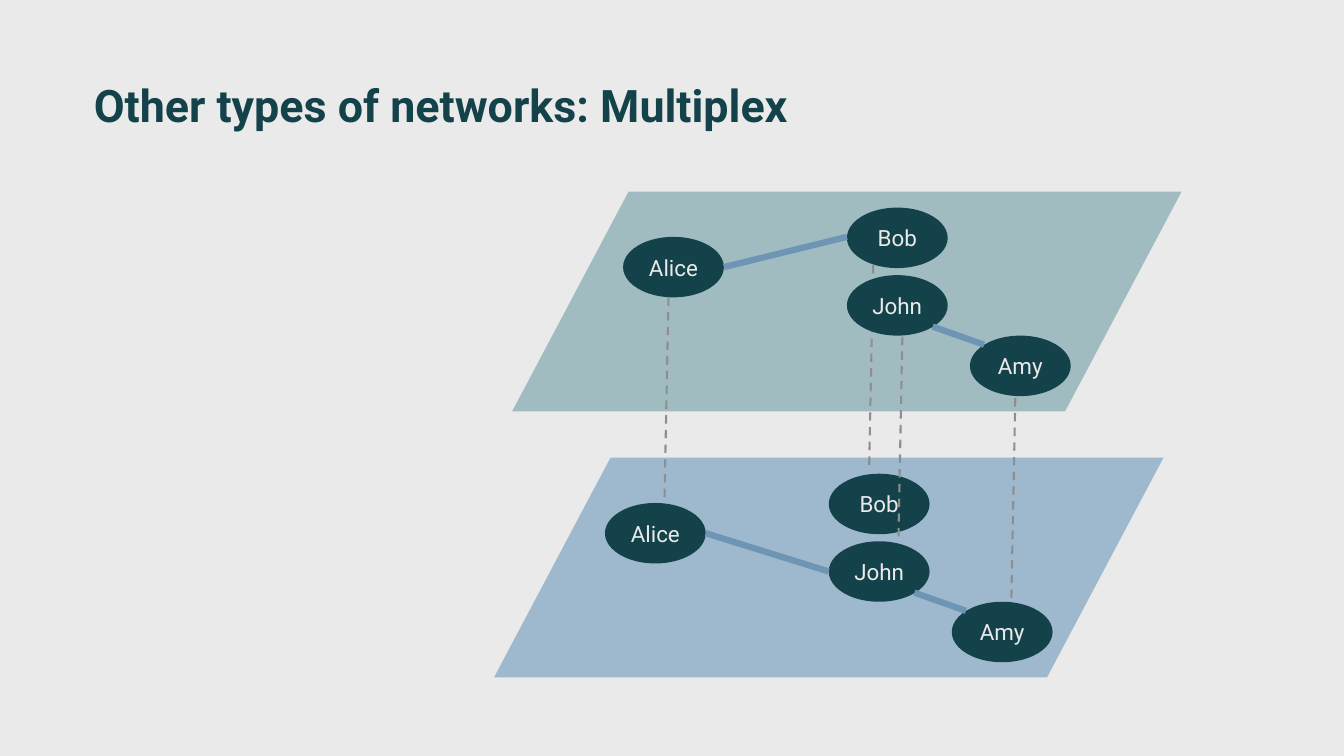
from dataclasses import dataclass

from lxml import etree
from pptx import Presentation
from pptx.dml.color import RGBColor
from pptx.enum import dml, shapes, text
from pptx.oxml import ns
from pptx.shapes.autoshape import Shape
from pptx.slide import Slide
from pptx.text.text import _Paragraph
from pptx.util import Inches, Pt


@dataclass(frozen=True)
class Theme:
    back: str = "EAEAEA"
    dark: str = "14424A"
    upper: str = "A1BCC0"
    lower: str = "9EB9CD"
    edge: str = "6E96B4"
    dash: str = "8E8E8E"
    font: str = "Roboto"
    title: int = 32
    label: int = 16


@dataclass(frozen=True)
class Node:
    name: str
    x: float
    y: float


@dataclass(frozen=True)
class Line:
    x1: float
    y1: float
    x2: float
    y2: float


@dataclass(frozen=True)
class Layer:
    dx: float
    dy: float
    fill: str
    edges: tuple[Line, ...]


THEME = Theme()
NODE_W, NODE_H = 1, 0.6

# Places are given for the upper layer; the lower one is shifted
NODES = (Node("Alice", 6.18, 2.35), Node("Bob", 8.4, 2.06),
         Node("John", 8.4, 2.73), Node("Amy", 9.62, 3.33))
JOHN_AMY = Line(9.25, 3.24, 9.76, 3.42)
UPPER = Layer(0, 0, THEME.upper, (Line(7.18, 2.65, 8.4, 2.35), JOHN_AMY))
LOWER = Layer(-0.18, 2.64, THEME.lower,
              (Line(7.18, 2.65, 8.4, 3.03), JOHN_AMY))

# Start of each dashed tie, and the run they all share
TIES = ((6.63, 2.95), (8.66, 2.63), (8.95, 3.34), (10.07, 3.95))
TIE_DX, TIE_DY = -0.04, 2.04


def add_run(para: _Paragraph, words: str, size: int, color: str,
            bold: bool = False) -> None:
    run = para.add_run()
    run.text = words
    run.font.name = THEME.font
    run.font.size = Pt(size)
    run.font.bold = bold
    run.font.color.rgb = RGBColor.from_string(color)


def add_form(slide: Slide, kind: shapes.MSO_SHAPE, x: float, y: float,
             w: float, h: float, fill: str) -> Shape:
    form = slide.shapes.add_shape(kind, Inches(x), Inches(y),
                                  Inches(w), Inches(h))
    form.shadow.inherit = False
    form.fill.solid()
    form.fill.fore_color.rgb = RGBColor.from_string(fill)
    form.line.fill.background()
    return form


def add_line(slide: Slide, line: Line, color: str, width: float,
             dashed: bool = False) -> None:
    link = slide.shapes.add_connector(
        shapes.MSO_CONNECTOR.STRAIGHT, Inches(line.x1), Inches(line.y1),
        Inches(line.x2), Inches(line.y2))
    link.line.color.rgb = RGBColor.from_string(color)
    link.line.width = Pt(width)
    if dashed:
        link.line.dash_style = dml.MSO_LINE.DASH
    etree.SubElement(link._element.spPr, ns.qn("a:effectLst"))


def add_plate(slide: Slide, layer: Layer) -> None:
    plate = add_form(slide, shapes.MSO_SHAPE.PARALLELOGRAM, 5.08 + layer.dx,
                     1.9 + layer.dy, 6.64, 2.18, layer.fill)
    plate.adjustments[0] = 0.53


def add_graph(slide: Slide, layer: Layer) -> None:
    for node in NODES:
        oval = add_form(slide, shapes.MSO_SHAPE.OVAL, node.x + layer.dx,
                        node.y + layer.dy, NODE_W, NODE_H, THEME.dark)
        frame = oval.text_frame
        frame.vertical_anchor = text.MSO_ANCHOR.MIDDLE
        para = frame.paragraphs[0]
        para.alignment = text.PP_ALIGN.CENTER
        add_run(para, node.name, THEME.label, THEME.back)
    for edge in layer.edges:
        moved = Line(edge.x1 + layer.dx, edge.y1 + layer.dy,
                     edge.x2 + layer.dx, edge.y2 + layer.dy)
        add_line(slide, moved, THEME.edge, 4.5)


def add_title(slide: Slide, words: str) -> None:
    title = slide.shapes.title
    title.left, title.top = Inches(0.83), Inches(0.78)
    title.width, title.height = Inches(11.35), Inches(1.3)
    frame = title.text_frame
    frame.word_wrap = True
    frame.auto_size = text.MSO_AUTO_SIZE.NONE
    frame.vertical_anchor = text.MSO_ANCHOR.TOP
    para = frame.paragraphs[0]
    para.alignment = text.PP_ALIGN.LEFT
    para.line_spacing = 0.9
    add_run(para, words, THEME.title, THEME.dark, bold=True)


def main() -> None:
    deck = Presentation()
    deck.slide_width, deck.slide_height = Inches(13.33), Inches(7.5)
    slide = deck.slides.add_slide(deck.slide_layouts[5])
    slide.background.fill.solid()
    slide.background.fill.fore_color.rgb = RGBColor.from_string(THEME.back)

    add_title(slide, "Other types of networks: Multiplex")

    # Plates lie below all nodes and ties
    for layer in (LOWER, UPPER):
        add_plate(slide, layer)

    # Ties pass over the lower nodes and behind the upper ones
    add_graph(slide, LOWER)
    for x, y in TIES:
        add_line(slide, Line(x, y, x + TIE_DX, y + TIE_DY),
                 THEME.dash, 1.5, dashed=True)
    add_graph(slide, UPPER)

    deck.save("out.pptx")


if __name__ == "__main__":
    main()
